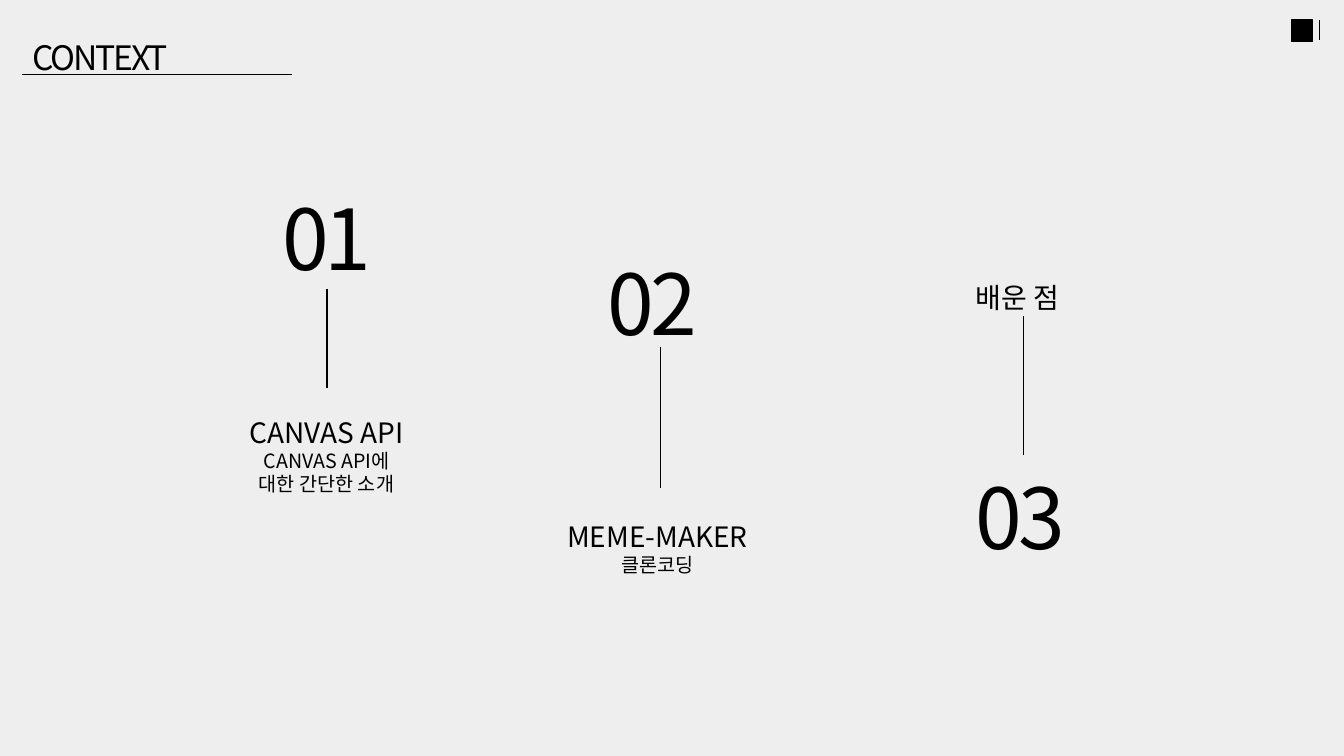
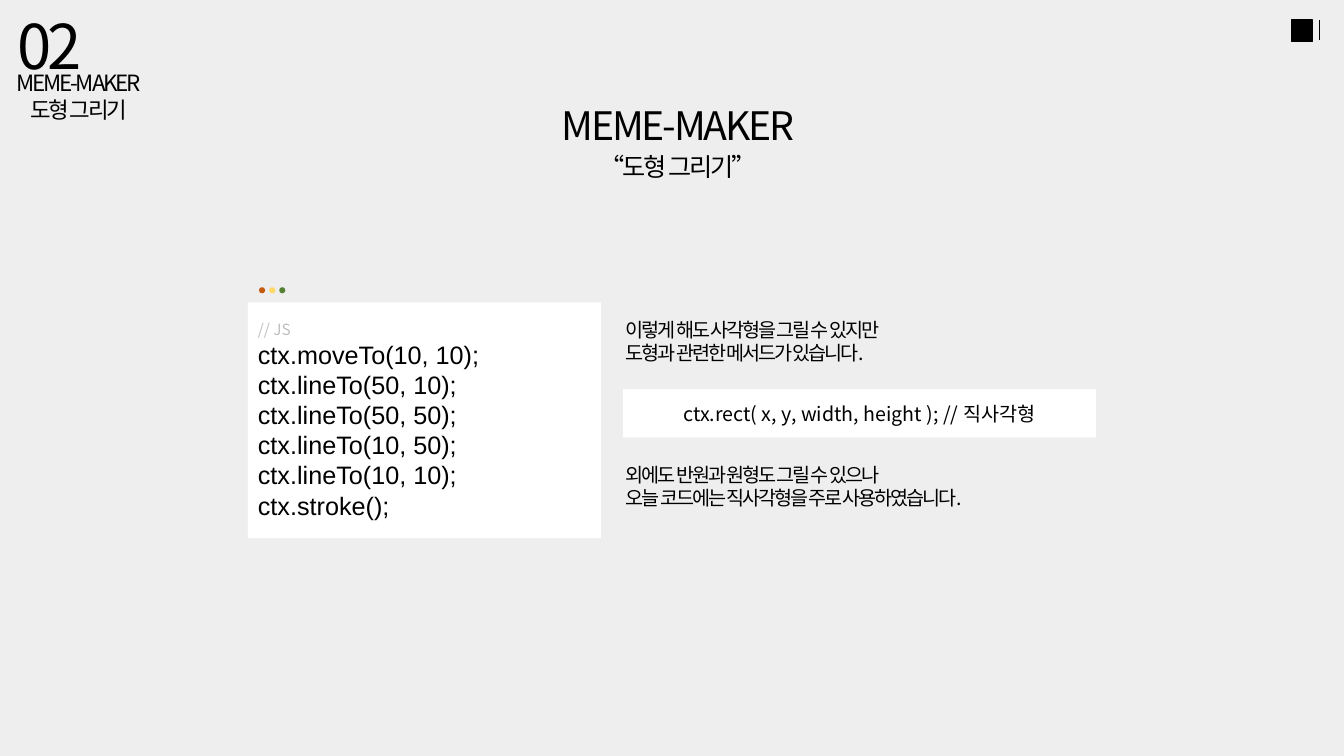
from lxml import etree
from pptx import Presentation
from pptx.dml.color import RGBColor
from pptx.enum.shapes import MSO_CONNECTOR, MSO_SHAPE
from pptx.enum.text import MSO_ANCHOR, PP_ALIGN
from pptx.oxml.ns import qn
from pptx.util import Inches, Pt

RECT, OVAL = MSO_SHAPE.RECTANGLE, MSO_SHAPE.OVAL
STRAIGHT = MSO_CONNECTOR.STRAIGHT
LEFT, CENTER = PP_ALIGN.LEFT, PP_ALIGN.CENTER
TOP, MIDDLE = MSO_ANCHOR.TOP, MSO_ANCHOR.MIDDLE

COLORS = {
    "back": "EEEEEE", "ink": "000000", "panel": "FFFFFF", "comment": "BFBFBF",
    "red": "C55A11", "yellow": "FFD966", "green": "548235",
}
SANS, CODE = "Noto Sans CJK KR", "Arial"
LEADING = 1.2


def rgb(name):
    return RGBColor.from_string(COLORS[name])


class Deck:
    """Shared style plus the slide being filled."""

    def __init__(self):
        self.prs = Presentation()
        self.prs.slide_width, self.prs.slide_height = Inches(13.33), Inches(7.5)
        self.slide = None

    def new_slide(self):
        self.slide = self.prs.slides.add_slide(self.prs.slide_layouts[6])
        fill = self.slide.background.fill
        fill.solid()
        fill.fore_color.rgb = rgb("back")
        # Corner mark
        self.shape(RECT, 12.81, 0.2, 0.21, 0.21, "ink", border=1)
        self.line(13.09, 0.2, 13.09, 0.4, 0.5)

    def shape(self, kind, x, y, w, h, color, border=0):
        sp = self.slide.shapes.add_shape(
            kind, Inches(x), Inches(y), Inches(w), Inches(h))
        sp.shadow.inherit = False
        sp.fill.solid()
        sp.fill.fore_color.rgb = rgb(color)
        if border:
            sp.line.color.rgb = rgb(color)
            sp.line.width = Pt(border)
        else:
            sp.line.fill.background()
        return sp

    def line(self, x1, y1, x2, y2, width=1.25):
        ln = self.slide.shapes.add_connector(
            STRAIGHT, Inches(x1), Inches(y1), Inches(x2), Inches(y2))
        ln.line.color.rgb = rgb("ink")
        ln.line.width = Pt(width)
        etree.SubElement(ln._element.spPr, qn("a:effectLst"))

    def fill_text(self, sp, lines, align=LEFT, anchor=TOP, spacing=0):
        """Each line is (text, size), then optionally font and colour."""
        tf = sp.text_frame
        tf.word_wrap = True
        tf.vertical_anchor = anchor
        for i, (text, size, *style) in enumerate(lines):
            font, color = style or (SANS, "ink")
            p = tf.paragraphs[0] if i == 0 else tf.add_paragraph()
            p.alignment = align
            p.line_spacing = Pt(size * LEADING)
            r = p.add_run()
            r.text = text
            r.font.size = Pt(size)
            r.font.name = font
            r.font.color.rgb = rgb(color)
            rPr = r._r.get_or_add_rPr()
            etree.SubElement(rPr, qn("a:ea")).set("typeface", SANS)
            if spacing:
                rPr.set("spc", str(int(spacing * 100)))

    def text(self, x, y, w, h, lines, align=LEFT, spacing=0):
        tb = self.slide.shapes.add_textbox(
            Inches(x), Inches(y), Inches(w), Inches(h))
        self.fill_text(tb, lines, align, spacing=spacing)

    def number(self, x, y, text, size=60):
        self.text(x, y, 1.48, size / 60 + 0.1, [(text, size)], spacing=-3)

    def panel(self, x, y, w, h, lines, align=LEFT):
        sp = self.shape(RECT, x, y, w, h, "panel")
        self.fill_text(sp, lines, align, MIDDLE)


def contents(deck):
    deck.new_slide()
    # Title
    deck.text(0.22, 0.32, 3.12, 0.5, [("CONTEXT", 24)], spacing=-1.5)
    deck.line(0.22, 0.74, 2.9, 0.74, 0.5)

    # Chapters: number at, rule x and ends, label centre, top and lines
    chapters = [
        ("01", 2.7, 1.8, 3.24, 2.87, 3.85, 3.24, 4.07,
         [("CANVAS API", 20), ("CANVAS API에", 14), ("대한 간단한 소개", 14)]),
        ("02", 5.93, 2.45, 6.55, 3.44, 4.84, 6.52, 5.1,
         [("MEME-MAKER", 20), ("클론코딩", 14)]),
        ("03", 9.58, 4.57, 10.15, 3.14, 4.51, 10.09, 2.73,
         [("배운 점", 20)]),
    ]
    label_w = 3.36
    for num, nx, ny, rule_x, top, bottom, mid, label_y, lines in chapters:
        deck.number(nx, ny, num)
        deck.line(rule_x, top, rule_x, bottom)
        deck.text(mid - label_w / 2, label_y, label_w,
                  0.2 + 0.25 * len(lines), lines, CENTER)


def drawing_shapes(deck):
    deck.new_slide()
    # Chapter marker
    deck.number(0.08, 0.03, "02", 44)
    deck.text(0.02, 0.64, 1.52, 0.64,
              [("MEME-MAKER", 16), ("도형 그리기", 16)], CENTER, -1.5)

    # Heading
    deck.text(5.29, 0.96, 2.87, 0.57, [("MEME-MAKER", 28)], CENTER, -1.5)
    deck.text(4.19, 1.45, 5.07, 0.4, [("“도형 그리기”", 18)], CENTER, -1.5)

    # Code window
    for i, color in enumerate(("red", "yellow", "green")):
        deck.shape(OVAL, 2.57 + 0.1 * i, 2.85, 0.06, 0.06, color)
    points = [(10, 10), (50, 10), (50, 50), (10, 50), (10, 10)]
    code = [f"ctx.{'lineTo' if i else 'moveTo'}({x}, {y});"
            for i, (x, y) in enumerate(points)] + ["ctx.stroke();"]
    deck.panel(2.46, 3, 3.5, 2.34,
               [("// JS", 11, SANS, "comment")]
               + [(row, 18, CODE, "ink") for row in code])

    # Explanation
    notes = [
        (3.1, "이렇게 해도 사각형을 그릴 수 있지만",
         "도형과 관련한 메서드가 있습니다."),
        (4.54, "외에도 반원과 원형도 그릴 수 있으나",
         "오늘 코드에는 직사각형을 주로 사용하였습니다."),
    ]
    for y, *rows in notes:
        deck.text(6.11, y, 4.76, 0.57, [(row, 14) for row in rows],
                  spacing=-1.5)
    deck.panel(6.18, 3.86, 4.69, 0.48,
               [("ctx.rect( x, y, width, height ); // 직사각형", 14)], CENTER)


def main():
    deck = Deck()
    contents(deck)
    drawing_shapes(deck)
    deck.prs.save("out.pptx")


if __name__ == "__main__":
    main()
